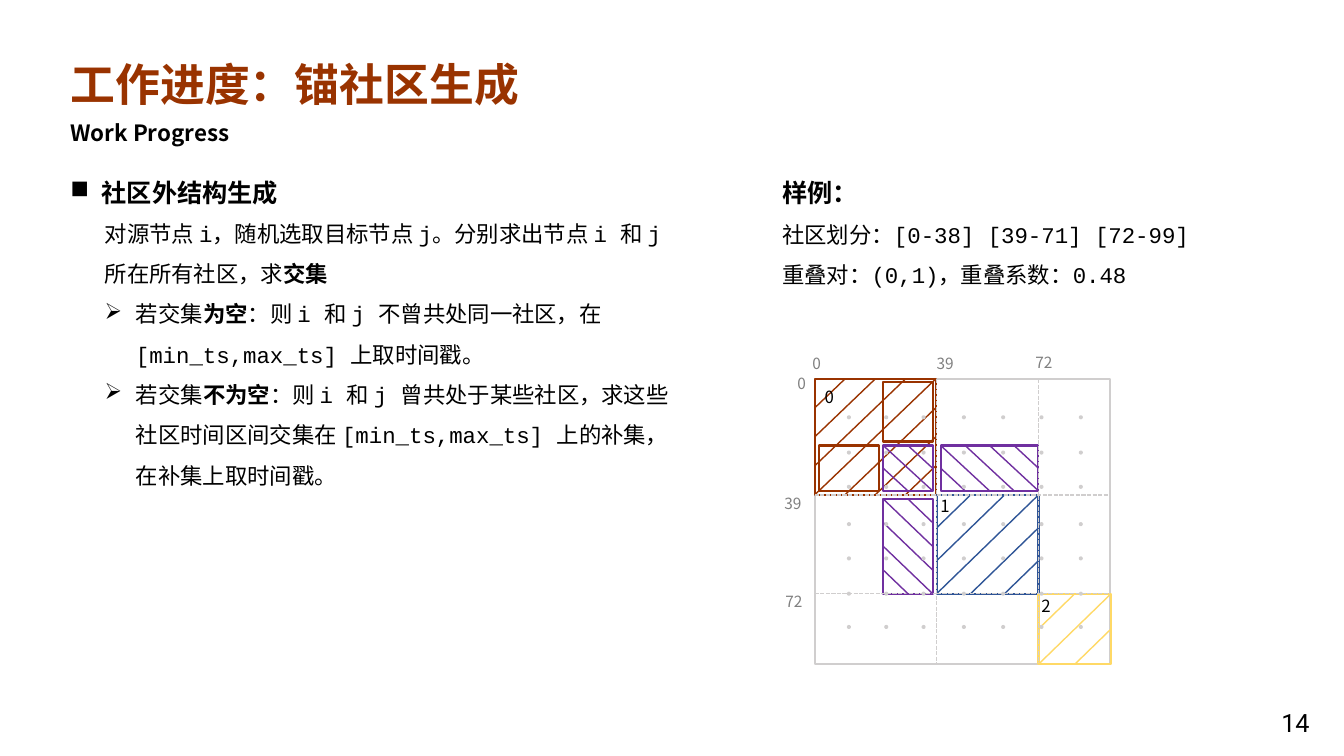
import pptx
import pptx.util
import pptx.dml.color
import pptx.enum.dml
import pptx.enum.shapes
import pptx.enum.text
import pptx.oxml
import pptx.oxml.ns
import lxml.etree as etree

Inches = pptx.util.Inches
Pt = pptx.util.Pt
RGBColor = pptx.dml.color.RGBColor
Shape = pptx.enum.shapes.MSO_SHAPE
qn = pptx.oxml.ns.qn

BLACK = RGBColor(0x00, 0x00, 0x00)
RUST = RGBColor(0x99, 0x33, 0x00)
BLUE = RGBColor(0x2F, 0x55, 0x97)
GOLD = RGBColor(0xFF, 0xD9, 0x66)
PURPLE = RGBColor(0x70, 0x30, 0xA0)
SILVER = RGBColor(0xD0, 0xCE, 0xCE)
GRAY = RGBColor(0x80, 0x80, 0x80)


class Board:
    """Holds the style and the current slide."""
    sans = "Noto Sans CJK SC"
    mono = "Courier New"

    def __init__(self, slide):
        self.slide = slide
        self.shapes = slide.shapes

    def face(self, font, name):
        font.name = name
        east = etree.SubElement(font._element, qn("a:ea"))
        east.set("typeface", self.sans)

    def fill(self, para, text, size, color=BLACK, bold=False, name=None):
        """Backticks mark code, asterisks mark bold."""
        font = para.font
        font.size = Pt(size)
        font.color.rgb = color
        font.bold = bold
        self.face(font, name or self.sans)
        for i, part in enumerate(text.split("`")):
            for j, bit in enumerate(part.split("*")):
                if not bit:
                    continue
                run = para.add_run()
                run.text = bit
                if i % 2:
                    self.face(run.font, self.mono)
                if j % 2:
                    run.font.bold = True

    def bullet(self, para, mark):
        props = para._p.get_or_add_pPr()
        props.set("marL", str(Inches(0.31)))
        props.set("indent", str(-Inches(0.31)))
        char = etree.Element(qn("a:buChar"))
        char.set("char", mark)
        props.find(qn("a:defRPr")).addprevious(char)

    def title(self, box, text):
        shape = self.shapes.title
        shape.left, shape.top, shape.width, shape.height = map(Inches, box)
        frame = shape.text_frame
        frame.word_wrap = False
        frame.auto_size = pptx.enum.text.MSO_AUTO_SIZE.SHAPE_TO_FIT_TEXT
        frame.vertical_anchor = pptx.enum.text.MSO_ANCHOR.TOP
        para = frame.paragraphs[0]
        para.alignment = pptx.enum.text.PP_ALIGN.LEFT
        self.fill(para, text, 32, RUST, True)

    def text(self, box, *rows, space=None):
        """Each row is (bullet or None, text, size, further style)."""
        frame = self.shapes.add_textbox(*map(Inches, box)).text_frame
        frame.word_wrap = True
        frame.auto_size = pptx.enum.text.MSO_AUTO_SIZE.SHAPE_TO_FIT_TEXT
        for i, (mark, *style) in enumerate(rows):
            para = frame.add_paragraph() if i else frame.paragraphs[0]
            if space:
                para.line_spacing = space
            self.fill(para, *style)
            if mark:
                self.bullet(para, mark)

    def rect(self, box, color):
        shape = self.shapes.add_shape(Shape.RECTANGLE, *map(Inches, box))
        shape.shadow.inherit = False
        shape.fill.background()
        shape.line.color.rgb = color
        shape.line.width = Pt(1.5)

    def dot(self, x, y):
        shape = self.shapes.add_shape(
            Shape.OVAL, *map(Inches, (x, y, 0.04, 0.04)))
        shape.shadow.inherit = False
        shape.fill.solid()
        shape.fill.fore_color.rgb = SILVER
        shape.line.fill.background()

    def line(self, ends, color, dash=False):
        kind = pptx.enum.shapes.MSO_CONNECTOR.STRAIGHT
        wire = self.shapes.add_connector(kind, *map(Inches, ends))
        wire.line.color.rgb = color
        wire.line.width = Pt(1)
        if dash:
            wire.line.dash_style = pptx.enum.dml.MSO_LINE.SQUARE_DOT
        etree.SubElement(wire._element.spPr, qn("a:effectLst"))

    def hatch(self, box, cols, rows, color, flip=False):
        """Diagonals through a cols by rows grid; flip leans them back."""
        left, top, width, height = box
        step, drop = width / cols, height / rows
        edge = left
        if flip:
            edge, step = left + width, -step
        for k in range(1, cols + rows):
            a, b = min(k, cols), min(k, rows)
            self.line((edge + a * step, top + (k - a) * drop,
                       edge + (k - b) * step, top + b * drop), color)


def main():
    deck = pptx.Presentation()
    deck.slide_width, deck.slide_height = Inches(13.33), Inches(7.5)
    board = Board(deck.slides.add_slide(deck.slide_layouts[5]))

    # Heading and page number
    board.text((0.6, 1.13, 3.38, 0.37),
               (None, "Work Progress", 16, BLACK, True))
    board.title((0.6, 0.51, 4.69, 0.64), "工作进度：锚社区生成")
    board.text((12.61, 6.97, 0.54, 0.4),
               (None, "14", 18, BLACK, False, "Roboto"))

    # Method
    board.text((0.6, 1.56, 2.52, 0.51),
               ("■", "社区外结构生成", 18, BLACK, True), space=1.5)
    board.text(
        (0.94, 2, 5.85, 2.88),
        (None, "对源节点 `i`，随机选取目标节点 `j`。分别求出节点 `i `和 `j `"
               "所在所有社区，求*交集*", 16),
        ("➢", "若交集*为空*：则 `i `和 `j `不曾共处同一社区，在 "
              "`[min_ts,max_ts] `上取时间戳。", 16),
        ("➢", "若交集*不为空*：则 `i `和 `j `曾共处于某些社区，"
              "求这些社区时间区间交集在 `[min_ts,max_ts] `上的补集，"
              "在补集上取时间戳。", 16),
        space=1.5)

    # Example
    board.text((7.66, 1.56, 4.39, 1.32),
               (None, "样例：", 18, BLACK, True),
               (None, "社区划分：`[0-38] [39-71] [72-99]`", 16),
               (None, "重叠对：`(0,1)`，重叠系数：`0.48`", 16),
               space=1.5)

    # Community blocks
    left, top, right, base = 8.08, 3.76, 11.01, 6.59
    x39, x72, y39, y72 = 9.29, 10.3, 4.91, 5.89
    zero = (left, top, 1.2, 1.15)
    one = (x39, y39, 1.01, 0.98)
    two = (x72, y72, 0.72, 0.7)
    tall = (8.76, 4.95, 0.49, 0.94)
    wide = (9.33, 4.42, 0.97, 0.45)
    cross = (8.76, 4.42, 0.49, 0.45)
    board.hatch(one, 3, 3, BLUE)
    board.hatch(zero, 4, 4, RUST)
    board.rect((left, top, right - left, base - top), SILVER)
    for box, color in ((zero, RUST), (one, BLUE), (two, GOLD),
                       (tall, PURPLE), (wide, PURPLE), (cross, PURPLE)):
        board.rect(box, color)

    # Block and axis labels
    for x, y, name in ((left, 3.79, "0"), (9.23, 4.87, "1"),
                       (10.23, 5.86, "2")):
        board.text((x, y, 0.36, 0.3), (None, name, 12))
    for x, y, name in ((7.96, 3.46, "0"), (9.19, 3.46, "39"),
                       (10.17, 3.45, "72"), (7.81, 3.66, "0"),
                       (7.68, 4.85, "39"), (7.69, 5.83, "72")):
        board.text((x, y, 0.49, 0.36), (None, name, 11, GRAY))

    # Dashed borders
    for x in (x39, x72):
        board.line((x, top, x, base - 0.01), SILVER, True)
    for y in (y39, y72):
        board.line((left, y, right, y), SILVER, True)

    # Overlap hatching
    board.hatch(two, 2, 2, GOLD)
    board.hatch(cross, 2, 2, PURPLE, True)
    board.hatch(wide, 4, 2, PURPLE, True)
    board.hatch(tall, 2, 4, PURPLE, True)

    # Dots
    for x in (8.4, 8.77, 9.14, 9.54, 9.93, 10.31, 10.7):
        for y in (4.12, 4.47, 4.81, 5.18, 5.52, 5.87, 6.2):
            board.dot(x, y)

    # Overlap inside community 0
    board.rect((8.12, 4.42, 0.6, 0.45), RUST)
    board.rect((8.76, 3.79, 0.49, 0.59), RUST)

    deck.save("out.pptx")


if __name__ == "__main__":
    main()
